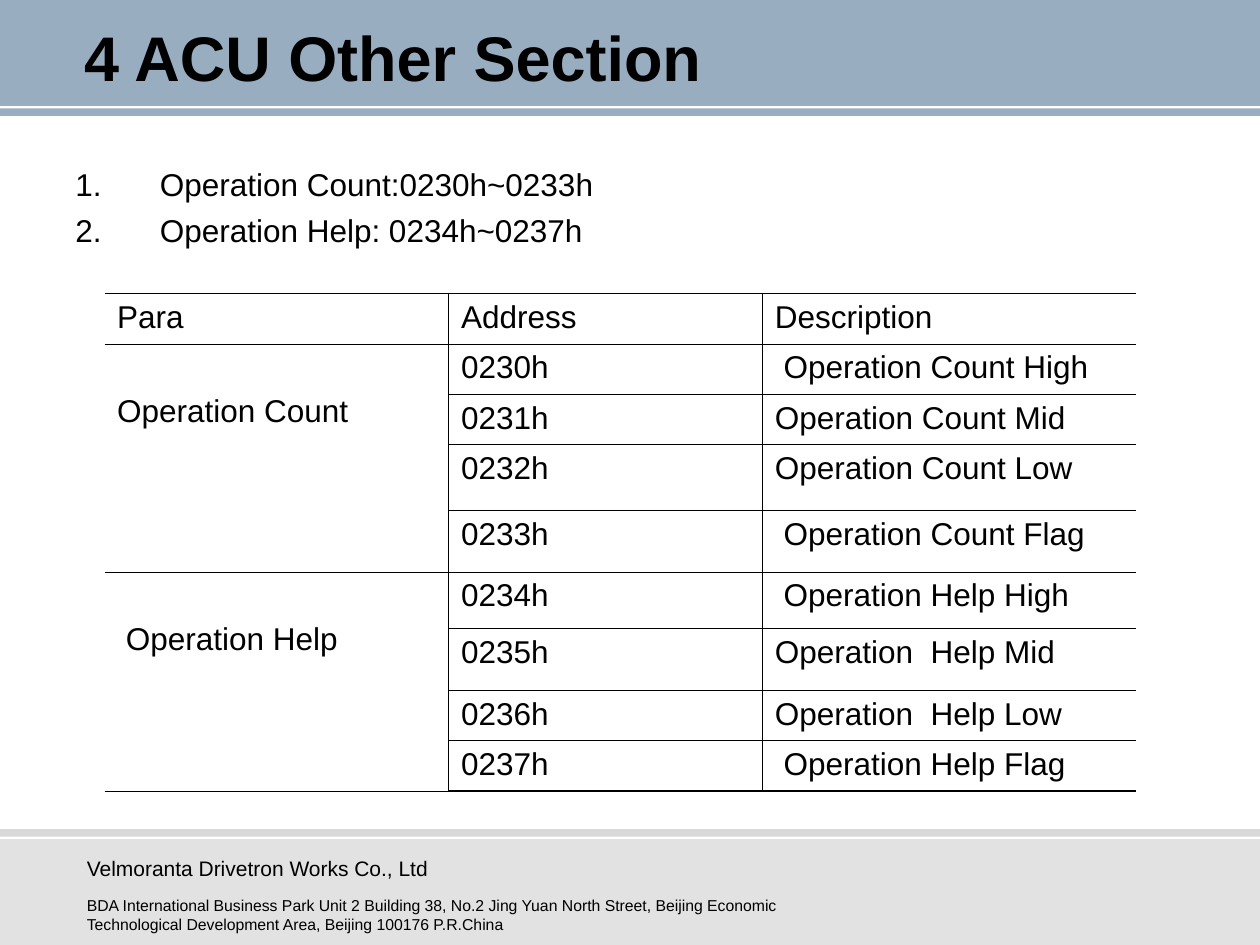
from lxml.etree import SubElement
from pptx import Presentation
from pptx.dml.color import RGBColor
from pptx.enum.shapes import MSO_SHAPE
from pptx.enum.text import MSO_ANCHOR, PP_ALIGN
from pptx.oxml.ns import qn
from pptx.util import Inches, Pt

COLORS = {"ink": "000000", "navy": "003366", "silver": "C0C0C0"}
BANDS = [
    (0, 0.84, "navy", 40),
    (6.66, 0.84, "silver", 46),
    (6.58, 0.06, "silver", 60),
    (0.86, 0.06, "navy", 40),
]
COLUMN_WIDTHS = [2.73, 2.49, 2.97]
ROW_HEIGHTS = [0.4, 0.4, 0.4, 0.52, 0.49, 0.45, 0.49, 0.4, 0.4]
HEADINGS = ["Para", "Address", "Description"]
FIRST_ADDRESS = 0x0230
GROUPS = [
    ("Operation Count", [" Operation Count High", "Operation Count Mid",
                         "Operation Count Low", " Operation Count Flag"]),
    (" Operation Help", [" Operation Help High", "Operation  Help Mid",
                         "Operation  Help Low", " Operation Help Flag"]),
]
NUMBERED_LINES = ["Operation Count:0230h~0233h", "Operation Help: 0234h~0237h"]
THIN, THICK = 0.45, 1.08
NO_STYLE = "{2D5ABB26-0587-4C30-8999-92F81FD0307C}"


def color(name):
    return RGBColor.from_string(COLORS[name])


def write(para, text, size=18, bold=False, before=0):
    para.alignment = PP_ALIGN.LEFT
    para.space_before = Pt(before)
    span = para.add_run()
    span.text = text
    span.font.name = "Arial"
    span.font.size = Pt(size)
    span.font.bold = bold
    span.font.color.rgb = color("ink")


def add_band(page, top, height, fill, opacity):
    band = page.shapes.add_shape(
        MSO_SHAPE.RECTANGLE, 0, Inches(top), Inches(10), Inches(height))
    band.shadow.inherit = False
    band.line.fill.background()
    band.fill.solid()
    band.fill.fore_color.rgb = color(fill)
    tint = band.element.spPr.find(".//" + qn("a:srgbClr"))
    SubElement(tint, qn("a:alpha"), val=str(opacity * 1000))


def add_text_box(page, left, top, width, height):
    box = page.shapes.add_textbox(
        Inches(left), Inches(top), Inches(width), Inches(height))
    box.text_frame.word_wrap = True
    return box.text_frame


def add_title(page, text):
    title = page.shapes.title
    title.left, title.top = Inches(0.43), Inches(0.13)
    title.width, title.height = Inches(8.98), Inches(0.63)
    title.text_frame.vertical_anchor = MSO_ANCHOR.MIDDLE
    write(title.text_frame.paragraphs[0], text, size=36, bold=True)
    title.element.getparent().append(title.element)


def add_numbered_list(page, lines):
    frame = add_text_box(page, 0.5, 1.23, 9.15, 5.2)
    frame.margin_top = Inches(0.08)
    for index, line in enumerate(lines):
        para = frame.add_paragraph() if index else frame.paragraphs[0]
        write(para, line, before=4.5)
        properties = para._p.get_or_add_pPr()
        properties.set("marL", str(Inches(0.67)))
        properties.set("indent", str(-Inches(0.67)))
        SubElement(properties, qn("a:buFont"), typeface="Arial")
        SubElement(properties, qn("a:buAutoNum"), type="arabicPeriod")


def set_borders(cell, left, right, top, bottom):
    properties = cell._tc.get_or_add_tcPr()
    sides = zip(("lnL", "lnR", "lnT", "lnB"), (left, right, top, bottom))
    for index, (side, width) in enumerate(sides):
        line = SubElement(properties, qn("a:" + side), w=str(Pt(width)))
        if width:
            fill = SubElement(line, qn("a:solidFill"))
            SubElement(fill, qn("a:srgbClr"), val=COLORS["ink"])
        else:
            SubElement(line, qn("a:noFill"))
        properties.insert(index, line)


def add_address_table(page):
    row_count, column_count = len(ROW_HEIGHTS), len(COLUMN_WIDTHS)
    frame = page.shapes.add_table(
        row_count, column_count, Inches(0.83), Inches(2.33),
        Inches(sum(COLUMN_WIDTHS)), Inches(sum(ROW_HEIGHTS)))
    table = frame.table
    table.first_row = table.horz_banding = False
    table._tbl.tblPr.find(qn("a:tableStyleId")).text = NO_STYLE
    for column, width in zip(table.columns, COLUMN_WIDTHS):
        column.width = Inches(width)
    for row, height in zip(table.rows, ROW_HEIGHTS):
        row.height = Inches(height)

    for row in range(row_count):
        for column in range(column_count):
            cell = table.cell(row, column)
            cell.fill.background()
            set_borders(
                cell,
                left=THIN if column else 0,
                right=THIN if column < column_count - 1 else 0,
                top=THIN if row else THICK,
                bottom=THIN if row < row_count - 1 else THICK)

    for column, heading in enumerate(HEADINGS):
        write(table.cell(0, column).text_frame.paragraphs[0], heading)
    row = 1
    for name, descriptions in GROUPS:
        group = table.cell(row, 0)
        group.merge(table.cell(row + len(descriptions) - 1, 0))
        group.margin_top = Inches(0.4)
        write(group.text_frame.paragraphs[0], name)
        for description in descriptions:
            address = f"{FIRST_ADDRESS + row - 1:04X}h"
            for column, text in ((1, address), (2, description)):
                write(table.cell(row, column).text_frame.paragraphs[0], text)
            row += 1


def main():
    deck = Presentation()
    deck.slide_width, deck.slide_height = Inches(10), Inches(7.5)
    page = deck.slides.add_slide(deck.slide_layouts[5])
    for band in BANDS:
        add_band(page, *band)
    address = add_text_box(page, 0.59, 7.06, 6.38, 0.44)
    write(address.paragraphs[0],
          "BDA International Business Park Unit 2 Building 38, No.2 Jing Yuan "
          "North Street, Beijing Economic Technological Development Area, "
          "Beijing 100176 P.R.China", size=9)
    company = add_text_box(page, 0.59, 6.74, 6.38, 0.31)
    write(company.paragraphs[0], "Velmoranta Drivetron Works Co., Ltd", size=12)
    add_title(page, " 4 ACU Other Section")
    add_address_table(page)
    add_numbered_list(page, NUMBERED_LINES)
    deck.save("out.pptx")


if __name__ == "__main__":
    main()
